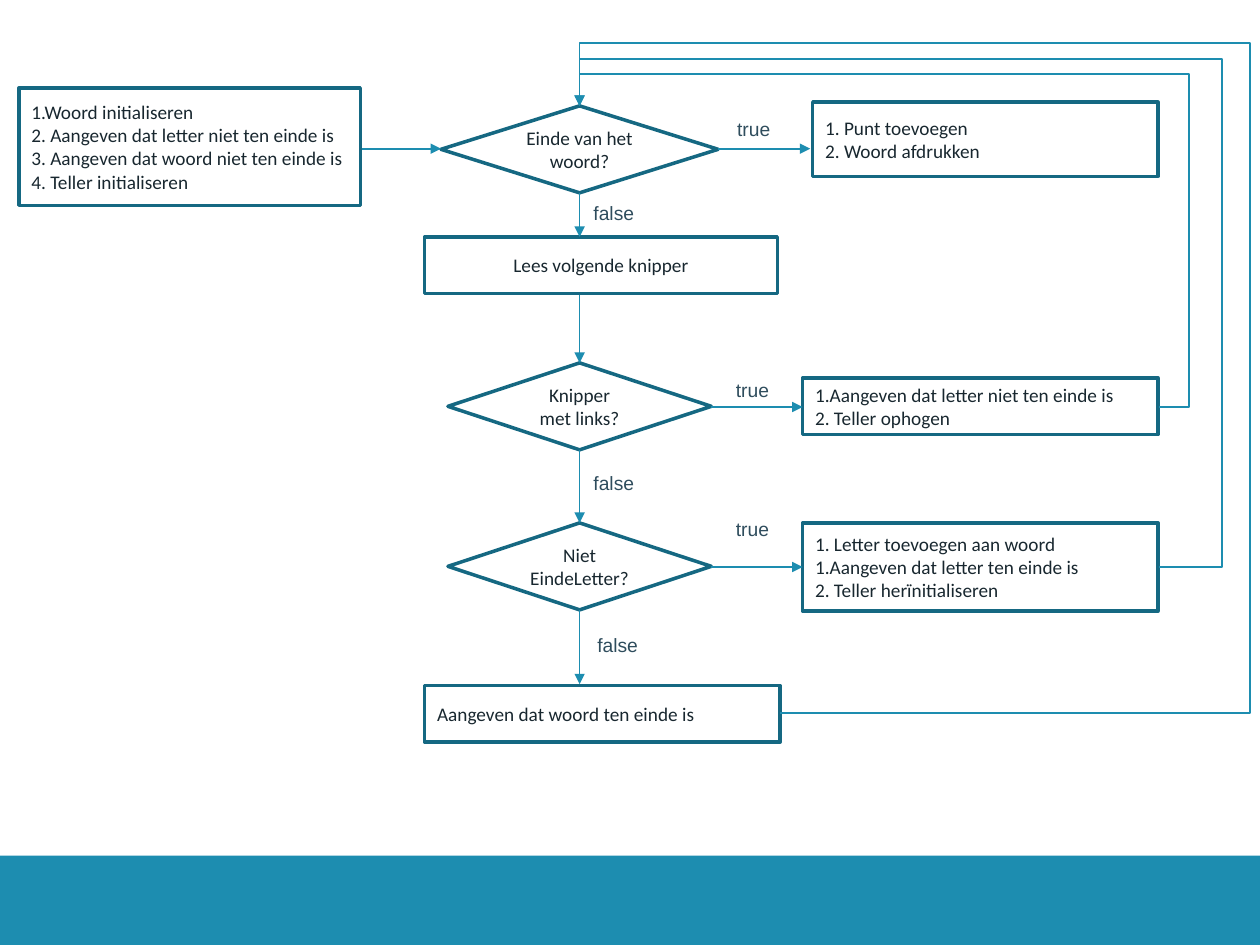
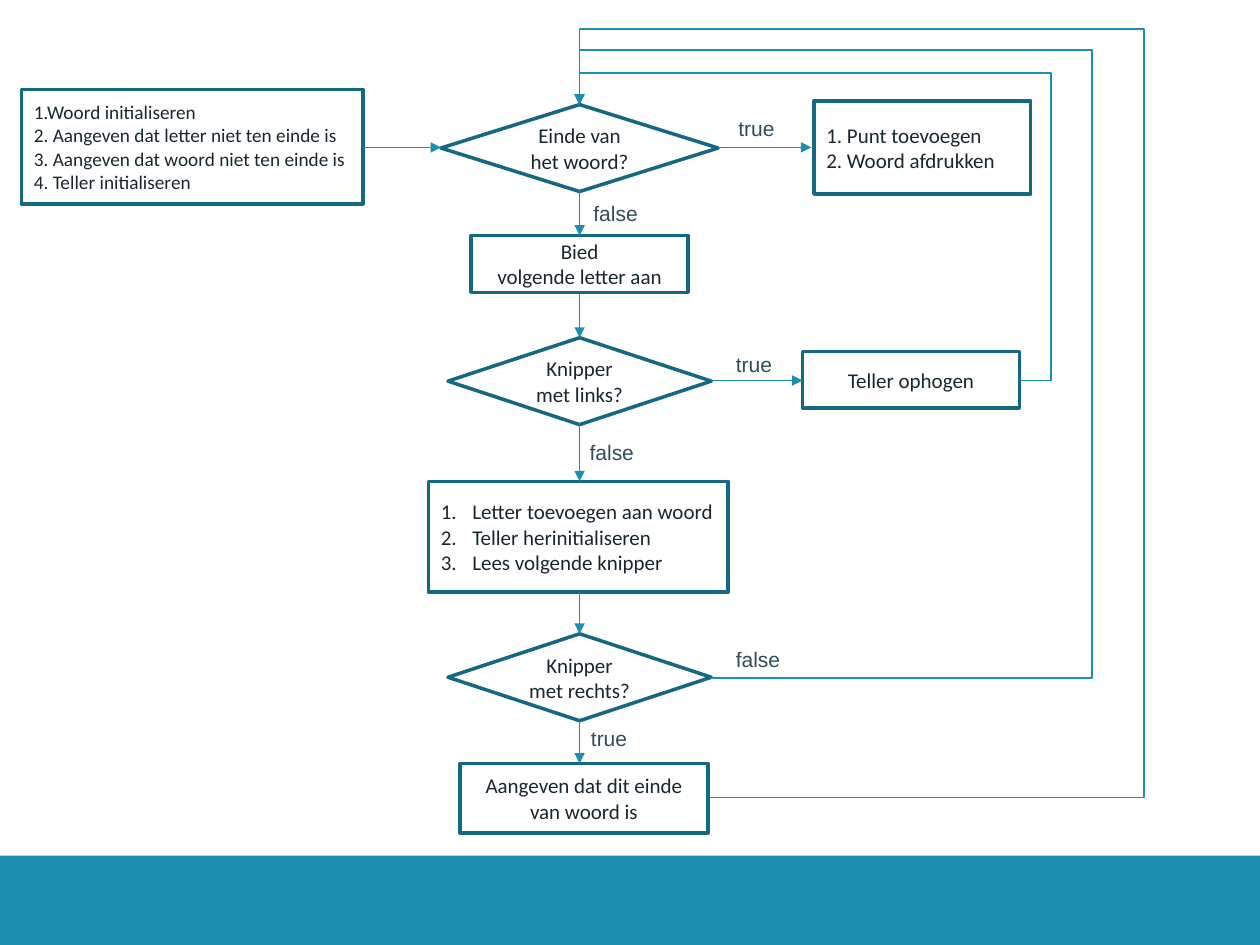
from lxml.etree import SubElement
from pptx import Presentation
from pptx.dml.color import RGBColor
from pptx.enum.shapes import MSO_CONNECTOR, MSO_SHAPE
from pptx.enum.text import MSO_ANCHOR, MSO_AUTO_SIZE, PP_ALIGN
from pptx.oxml.ns import qn
from pptx.util import Inches, Pt

WIDTH, HEIGHT = 10, 7.5
BAND_TOP = 6.79
TEAL, OUTLINE, INK, SLATE = "1D8DB0", "156882", "18272F", "2F4D5D"
AXIS = 4.6
DECISION_H = 0.69
LABEL_INSET = 0.05
LABEL_WIDTHS = {("true", 11): 0.39, ("false", 11): 0.45,
                ("true", 12): 0.42, ("false", 12): 0.49}
LEFT, CENTER = PP_ALIGN.LEFT, PP_ALIGN.CENTER
START_TEXT = (
    "1.Woord initialiseren\n"
    "2. Aangeven dat letter niet ten einde is\n"
    "3. Aangeven dat woord niet ten einde is\n"
    "4. Teller initialiseren"
)


def color(value):
    return RGBColor.from_string(value)


def new_slide(prs):
    s = prs.slides.add_slide(prs.slide_layouts[6])
    band = s.shapes.add_shape(MSO_SHAPE.RECTANGLE, 0, Inches(BAND_TOP),
                              Inches(WIDTH), Inches(HEIGHT - BAND_TOP))
    band.shadow.inherit = False
    band.fill.solid()
    band.fill.fore_color.rgb = color(TEAL)
    band.line.fill.background()
    return s


def set_text(tf, text, size, font, ink, align):
    tf.text = text
    for p in tf.paragraphs:
        p.alignment = align
        for r in p.runs:
            r.font.size = Pt(size)
            r.font.name = font
            r.font.color.rgb = color(ink)


def box(s, x, y, w, h, text, size, align=LEFT, kind=MSO_SHAPE.RECTANGLE):
    sp = s.shapes.add_shape(kind, Inches(x), Inches(y), Inches(w), Inches(h))
    sp.shadow.inherit = False
    sp.fill.background()
    sp.line.color.rgb = color(OUTLINE)
    sp.line.width = Pt(2)
    tf = sp.text_frame
    tf.word_wrap = True
    tf.vertical_anchor = MSO_ANCHOR.MIDDLE
    set_text(tf, text, size, "Calibri", INK, align)
    return sp


def decision(s, y, w, text, size):
    box(s, AXIS - w / 2, y, w, DECISION_H, text, size, CENTER,
        MSO_SHAPE.FLOWCHART_DECISION)


def number_paragraphs(sp):
    indent = Inches(0.25)
    for p in sp.text_frame.paragraphs:
        pPr = p._p.get_or_add_pPr()
        pPr.set("marL", str(indent))
        pPr.set("indent", str(-indent))
        SubElement(pPr, qn("a:buAutoNum"), type="arabicPeriod")


def label(s, x, y, text, size):
    tb = s.shapes.add_textbox(Inches(x), Inches(y),
                              Inches(LABEL_WIDTHS[text, size]), Inches(0.3))
    tf = tb.text_frame
    tf.word_wrap = True
    tf.auto_size = MSO_AUTO_SIZE.SHAPE_TO_FIT_TEXT
    tf.margin_left = tf.margin_right = Inches(LABEL_INSET)
    tf.margin_top = tf.margin_bottom = Inches(LABEL_INSET)
    set_text(tf, text, size, "Arial", SLATE, LEFT)


def connector(s, kind, x1, y1, x2, y2, arrow=True):
    c = s.shapes.add_connector(kind, Inches(x1), Inches(y1),
                               Inches(x2), Inches(y2))
    c.line.color.rgb = color(TEAL)
    c.line.width = Pt(1)
    if arrow:
        SubElement(c.line._get_or_add_ln(), qn("a:tailEnd"), type="triangle")
    SubElement(c._element.spPr, qn("a:effectLst"))
    return c


def down(s, y1, y2):
    connector(s, MSO_CONNECTOR.STRAIGHT, AXIS, y1, AXIS, y2)


def right(s, x1, x2, y):
    connector(s, MSO_CONNECTOR.STRAIGHT, x1, y, x2, y)


def loop_back(s, x, y, lane, end, top=None):
    c = connector(s, MSO_CONNECTOR.ELBOW, x, y, AXIS, end, top is not None)
    bends = [(lane - x) / (AXIS - x)]
    if top is not None:
        bends.append((top - y) / (end - y))
    geom = c._element.spPr.find(qn("a:prstGeom"))
    geom.set("prst", f"bentConnector{len(bends) + 2}")
    guides = geom.find(qn("a:avLst"))
    if guides is None:
        guides = SubElement(geom, qn("a:avLst"))
    for i, bend in enumerate(bends, 1):
        SubElement(guides, qn("a:gd"), name=f"adj{i}",
                   fmla=f"val {round(bend * 100000)}")


def reading_flow(prs):
    s = new_slide(prs)
    size = 11
    for y, w, text in [(0.84, 2.2, "Einde van het woord?"),
                       (2.88, 2.09, "Knipper\nmet links?"),
                       (4.15, 2.09, "Niet\nEindeLetter?")]:
        decision(s, y, w, text, size)
    for x, y, w, h, text in [
        (0.15, 0.7, 2.71, 0.93, START_TEXT),
        (6.45, 0.81, 2.74, 0.59, "1. Punt toevoegen\n2. Woord afdrukken"),
        (6.37, 3, 2.82, 0.45,
         "1.Aangeven dat letter niet ten einde is\n2. Teller ophogen"),
        (6.37, 4.15, 2.82, 0.7,
         "1. Letter toevoegen aan woord\n1.Aangeven dat letter ten einde is\n"
         "2. Teller herïnitialiseren"),
        (3.37, 5.44, 2.82, 0.45, "Aangeven dat woord ten einde is"),
    ]:
        box(s, x, y, w, h, text, size)
    box(s, 3.37, 1.88, 2.8, 0.45, "Lees volgende knipper", size, CENTER)
    for y1, y2 in [(1.53, 1.88), (2.34, 2.88), (3.57, 4.15), (4.84, 5.43)]:
        down(s, y1, y2)
    for x1, x2, y in [(2.87, 3.5, 1.18), (5.7, 6.43, 1.18),
                      (5.64, 6.37, 3.23), (5.64, 6.37, 4.5)]:
        right(s, x1, x2, y)
    loop_back(s, 9.2, 3.23, 9.44, 0.84, 0.59)
    loop_back(s, 9.2, 4.5, 9.7, 0.47)
    loop_back(s, 6.19, 5.66, 9.92, 0.84, 0.34)
    for x, y, text in [(5.8, 0.88, "true"), (5.79, 2.95, "true"),
                       (5.79, 4.06, "true"), (4.66, 1.55, "false"),
                       (4.66, 3.69, "false"), (4.69, 4.98, "false")]:
        label(s, x, y, text, size)


def offering_flow(prs):
    s = new_slide(prs)
    size = 12
    for y, w, text in [(0.83, 2.2, "Einde van het woord?"),
                       (2.68, 2.09, "Knipper\nmet links?"),
                       (5.03, 2.09, "Knipper\nmet rechts?")]:
        decision(s, y, w, text, size)
    box(s, 0.17, 0.71, 2.71, 0.91, START_TEXT, 11)
    box(s, 6.46, 0.8, 1.72, 0.74, "1. Punt toevoegen\n2. Woord afdrukken", size)
    for x, y, w, h, text in [
        (3.74, 1.87, 1.72, 0.45, "Bied\nvolgende letter aan"),
        (6.37, 2.79, 1.72, 0.45, "Teller ophogen"),
        (3.65, 6.06, 1.97, 0.55, "Aangeven dat dit einde van woord is"),
    ]:
        box(s, x, y, w, h, text, size, CENTER)
    steps = box(s, 3.4, 3.82, 2.38, 0.88,
                "Letter toevoegen aan woord\nTeller herinitialiseren\n"
                "Lees volgende knipper", size)
    number_paragraphs(steps)
    for y1, y2 in [(1.51, 1.87), (2.33, 2.68), (3.36, 3.82),
                   (4.7, 5.03), (5.72, 6.06)]:
        down(s, y1, y2)
    for x1, x2, y in [(2.88, 3.5, 1.17), (5.7, 6.44, 1.17),
                      (5.64, 6.37, 3.02)]:
        right(s, x1, x2, y)
    for x, y, lane, top in [(8.1, 3.02, 8.34, 0.58), (5.64, 5.38, 8.67, 0.4),
                            (5.63, 6.33, 9.08, 0.23)]:
        loop_back(s, x, y, lane, 0.83, top)
    for x, y, text in [(5.81, 0.87, "true"), (5.79, 2.74, "true"),
                       (4.64, 5.71, "true"), (4.66, 1.54, "false"),
                       (4.63, 3.44, "false"), (5.79, 5.08, "false")]:
        label(s, x, y, text, size)


def main():
    prs = Presentation()
    prs.slide_width, prs.slide_height = Inches(WIDTH), Inches(HEIGHT)
    reading_flow(prs)
    offering_flow(prs)
    prs.save("out.pptx")


if __name__ == "__main__":
    main()
